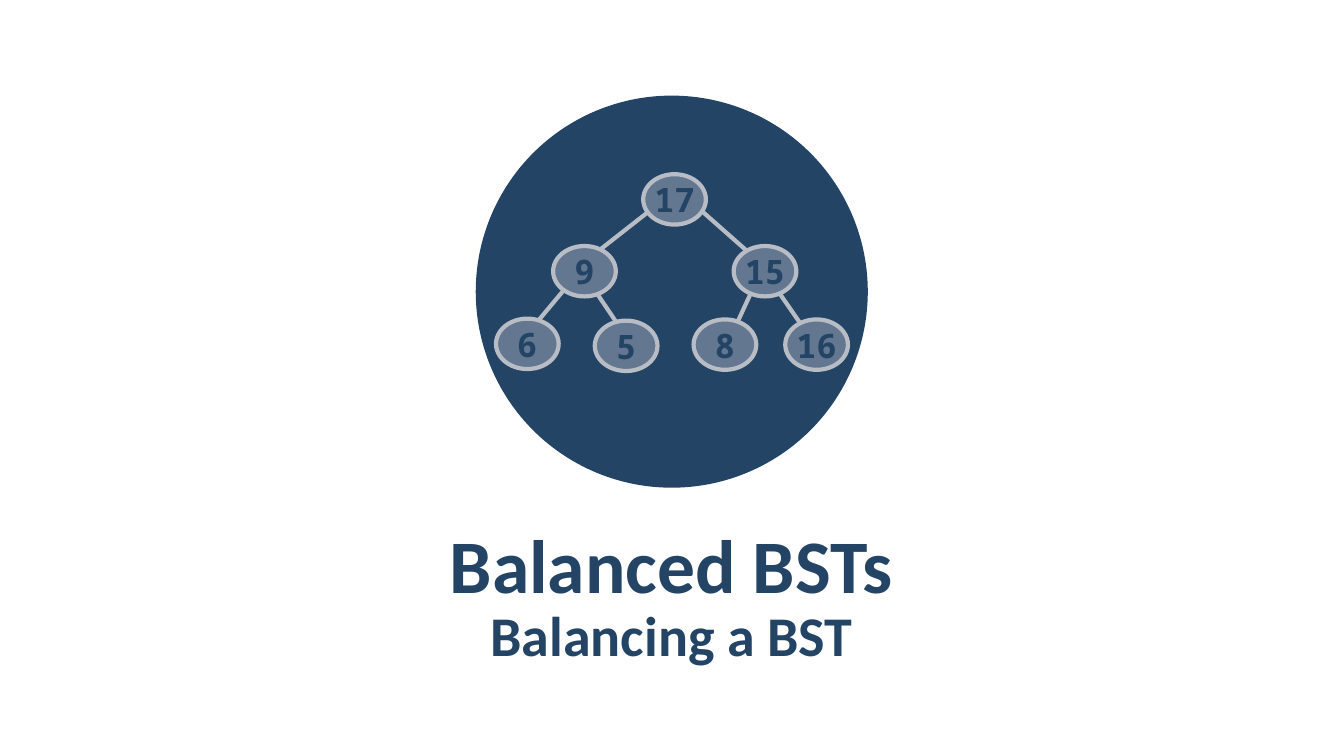
import pptx
import pptx.util
import pptx.dml.color
import pptx.enum.shapes
import pptx.enum.text
import pptx.oxml
import pptx.oxml.ns
from lxml import etree

Cm, Pt = pptx.util.Cm, pptx.util.Pt
RGBColor = pptx.dml.color.RGBColor
OVAL = pptx.enum.shapes.MSO_SHAPE.OVAL
STRAIGHT = pptx.enum.shapes.MSO_CONNECTOR.STRAIGHT
qn = pptx.oxml.ns.qn

NAVY = RGBColor(0x23, 0x44, 0x65)
NODE_FILL = RGBColor(0xA3, 0xAB, 0xBC)
NODE_LINE = RGBColor(0xB8, 0xBC, 0xC4)

# Content, lengths in cm
DISC = (11.99, 2.41, 9.88, 9.88)
NODE_W, NODE_H = 1.58, 1.27
NODES = [  # value, left, top
    ("17", 16.21, 4.39),
    ("15", 18.49, 6.2),
    ("9", 13.94, 6.2),
    ("6", 12.5, 8.03),
    ("5", 14.99, 8.08),
    ("8", 17.48, 8.05),
    ("16", 19.79, 8.05),
]
EDGES = [  # parent end, child end
    (16.31, 5.36, 15.11, 6.3),
    (17.7, 5.33, 18.82, 6.32),
    (14.2, 7.32, 13.59, 8.05),
    (15.06, 7.42, 15.52, 8.1),
    (18.92, 7.39, 18.57, 8.15),
    (19.63, 7.37, 20.17, 8.15),
]
TITLES = [  # text, top, height, size
    ("Balanced BSTs", 13.08, 2.13, 54),
    ("Balancing a BST", 15.24, 1.4, 40),
]
TITLE_LEFT, TITLE_W = 1.7, 30.45
TITLE_FONT = {"name": "Calibri", "bold": True}
NODE_FONT = {"name": "Noto Sans Mono", "bold": True, "size": Pt(24)}
TITLE_PARA = {"line_spacing": 1.05, "space_after": Pt(6)}


def set_all(obj, values):
    for name, value in values.items():
        setattr(obj, name, value)


def write(tf, text, wrap, font, para):
    tf.word_wrap = wrap
    tf.vertical_anchor = pptx.enum.text.MSO_ANCHOR.MIDDLE
    p = tf.paragraphs[0]
    p.alignment = pptx.enum.text.PP_ALIGN.CENTER
    set_all(p, para)
    r = p.add_run()
    r.text = text
    set_all(r.font, font)
    r.font.color.rgb = NAVY


def add_oval(shapes, box, color):
    sp = shapes.add_shape(OVAL, *map(Cm, box))
    sp.shadow.inherit = False
    sp.fill.solid()
    sp.fill.fore_color.rgb = color
    return sp


def set_line(line):
    line.color.rgb = NODE_LINE
    line.width = Pt(3)


prs = pptx.Presentation()
prs.slide_width, prs.slide_height = Cm(33.87), Cm(19.05)
s = prs.slides.add_slide(prs.slide_layouts[6])

# Disc behind the tree
add_oval(s.shapes, DISC, NAVY).line.fill.background()

# Titles
for text, top, height, size in TITLES:
    tb = s.shapes.add_textbox(*map(Cm, (TITLE_LEFT, top, TITLE_W, height)))
    set_all(tb.text_frame, {"margin_left": Cm(0.3), "margin_right": Cm(0.3),
                            "margin_top": Cm(0.1), "margin_bottom": Cm(0.1)})
    write(tb.text_frame, text, True, {**TITLE_FONT, "size": Pt(size)}, TITLE_PARA)

# Tree edges
tree = s.shapes.add_group_shape()
for edge in EDGES:
    cx = tree.shapes.add_connector(STRAIGHT, *map(Cm, edge))
    set_line(cx.line)
    etree.SubElement(cx._element.spPr, qn("a:effectLst"))

# Tree nodes, half transparent
for value, left, top in NODES:
    sp = add_oval(tree.shapes, (left, top, NODE_W, NODE_H), NODE_FILL)
    color = sp._element.spPr.find(qn("a:solidFill"))[0]
    etree.SubElement(color, qn("a:alpha"), val="50000")
    set_line(sp.line)
    write(sp.text_frame, value, False, NODE_FONT, {})

prs.save("out.pptx")
